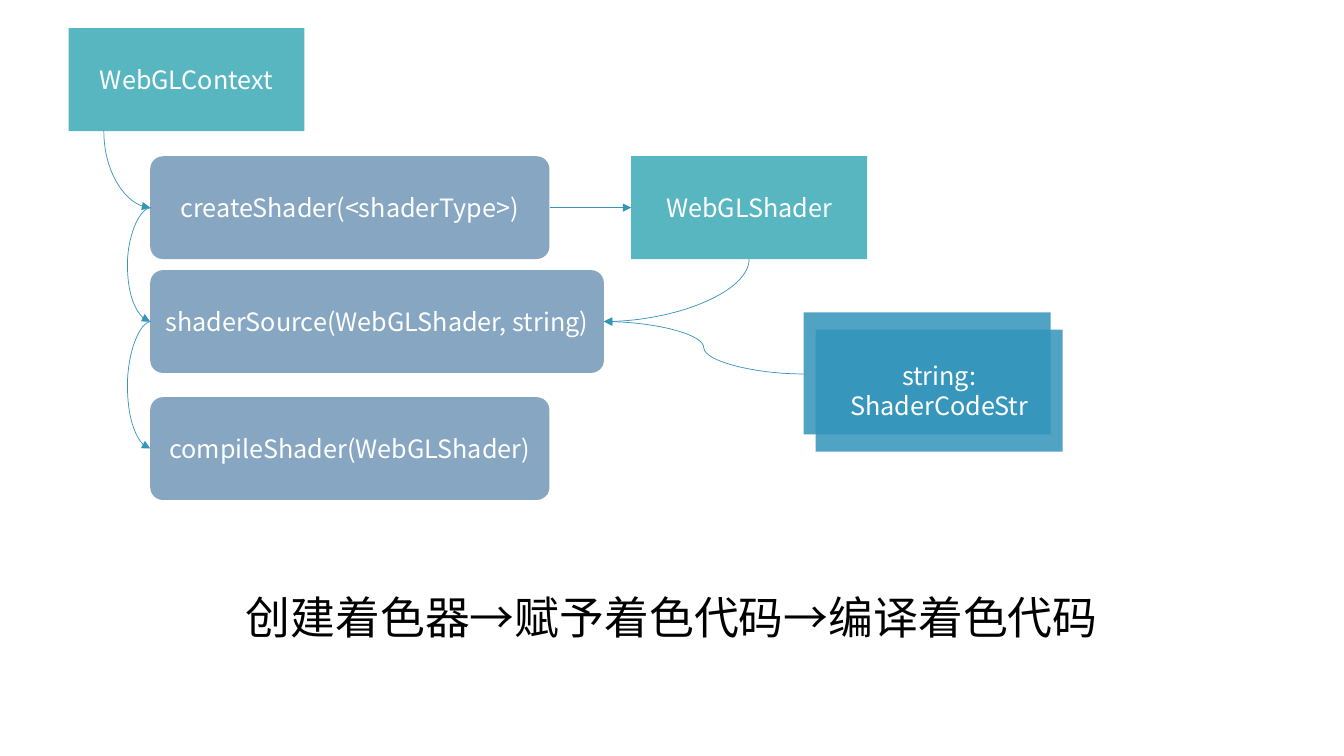
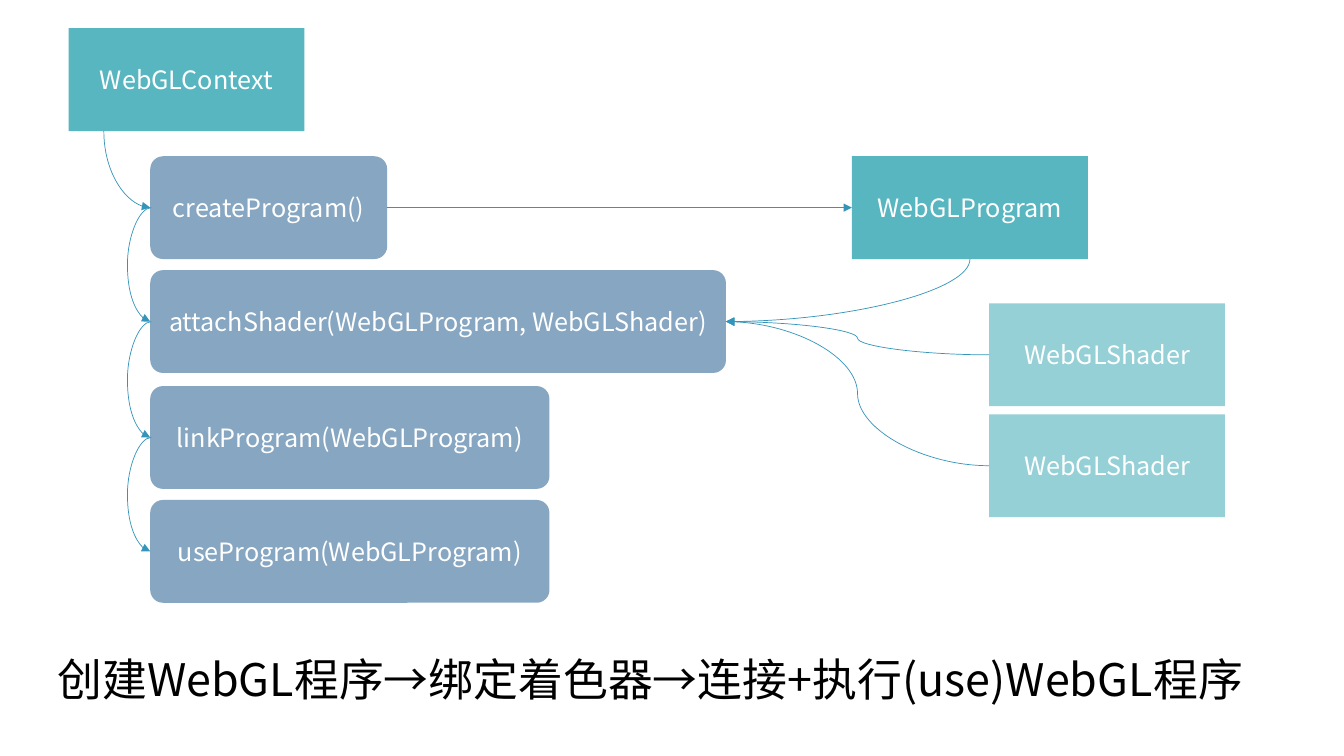
from pptx import Presentation
from pptx.dml.color import RGBColor
from pptx.enum.shapes import MSO_CONNECTOR, MSO_SHAPE
from pptx.enum.text import MSO_ANCHOR, PP_ALIGN
from pptx.oxml.ns import qn
from pptx.util import Inches, Pt
from lxml import etree

RECT, ROUNDED = MSO_SHAPE.RECTANGLE, MSO_SHAPE.ROUNDED_RECTANGLE
STRAIGHT, CURVE = MSO_CONNECTOR.STRAIGHT, MSO_CONNECTOR.CURVE
MIDDLE, CENTER, LEFT = MSO_ANCHOR.MIDDLE, PP_ALIGN.CENTER, PP_ALIGN.LEFT
TEAL = RGBColor(0x58, 0xB6, 0xC0)
SLATE = RGBColor(0x86, 0xA6, 0xC1)
BLUE = RGBColor(0x34, 0x94, 0xBA)
WHITE = RGBColor(0xFF, 0xFF, 0xFF)
BLACK = RGBColor(0, 0, 0)
FONT = "Noto Sans CJK SC"

OBJECT_W, BOX_H = 2.34, 1.02
STEP_X, STEP_W = 1.49, 3.96
CONTEXT_X, CONTEXT_Y = 0.68, 0.28
CODE_W, CODE_H = 2.45, 1.21
LOOP_W, LOOP_REACH = 0.01, 24

SLIDES = [
    {
        "steps": [("createShader(<shaderType>)", 1.55, STEP_W),
                  ("shaderSource(WebGLShader, string)", 2.68, 4.5),
                  ("compileShader(WebGLShader)", 3.94, STEP_W)],
        "result": ("WebGLShader", 6.26),
        "inputs": [("", 7.97, 3.1, CODE_W, CODE_H, BLUE, 86),
                   ("string: ShaderCodeStr", 8.09, 3.27, CODE_W, CODE_H, BLUE, 86)],
        "input_links": [(7.97, 3.71)],
        "caption": ("创建着色器→赋予着色代码→编译着色代码", 2.34, 5.8, 8.73),
    },
    {
        "steps": [("createProgram()", 1.55, 2.35),
                  ("attachShader(WebGLProgram, WebGLShader)", 2.68, 5.71),
                  ("linkProgram(WebGLProgram)", 3.83, STEP_W),
                  ("useProgram(WebGLProgram)", 4.96, STEP_W)],
        "result": ("WebGLProgram", 8.45),
        "inputs": [("WebGLShader", 9.81, 3.01, OBJECT_W, BOX_H, TEAL, 63),
                   ("WebGLShader", 9.81, 4.11, OBJECT_W, BOX_H, TEAL, 63)],
        "input_links": [(9.81, 3.52), (9.81, 4.62)],
        "caption": ("创建WebGL程序→绑定着色器→连接+执行(use)WebGL程序", 0.47, 6.42, 12.41),
    },
]


def write(shape, text, size, color, align):
    shape.text_frame.word_wrap = True
    paragraph = shape.text_frame.paragraphs[0]
    paragraph.alignment = align
    run = paragraph.add_run()
    run.text = text
    run.font.size = Pt(size)
    run.font.color.rgb = color
    run.font.name = FONT
    etree.SubElement(run.font._element, qn("a:ea"), typeface=FONT)


def connect(slide, kind, start, end, rotation=0, flip=None, preset=None, bend=None):
    (x1, y1), (x2, y2) = start, end
    width, height = abs(x2 - x1), abs(y2 - y1)
    if rotation in (90, 270):
        width, height = height, width
    left, top = (x1 + x2 - width) / 2, (y1 + y2 - height) / 2
    arrow = slide.shapes.add_connector(
        kind, Inches(left), Inches(top), Inches(left + width), Inches(top + height))
    arrow.line.color.rgb = BLUE
    arrow.line.width = Pt(0.5)
    etree.SubElement(arrow.line._get_or_add_ln(), qn("a:tailEnd"), type="triangle")
    properties = arrow._element.spPr
    etree.SubElement(properties, qn("a:effectLst"))
    transform = properties.find(qn("a:xfrm"))
    geometry = properties.find(qn("a:prstGeom"))
    if rotation:
        transform.set("rot", str(rotation * 60000))
    if flip:
        transform.set(flip, "1")
    if preset:
        geometry.set("prst", preset)
    if bend:
        etree.SubElement(geometry.find(qn("a:avLst")), qn("a:gd"),
                         name="adj1", fmla=f"val {bend * 100000}")


prs = Presentation()
prs.slide_width, prs.slide_height = Inches(13.33), Inches(7.5)

for content in SLIDES:
    slide = prs.slides.add_slide(prs.slide_layouts[6])
    steps = content["steps"]
    result, result_x = content["result"]
    result_y = steps[0][1]

    boxes = [("WebGLContext", CONTEXT_X, CONTEXT_Y, OBJECT_W, BOX_H, TEAL, 100, RECT),
             (result, result_x, result_y, OBJECT_W, BOX_H, TEAL, 100, RECT)]
    boxes += [(label, STEP_X, y, w, BOX_H, SLATE, 100, ROUNDED) for label, y, w in steps]
    boxes += [(*entry, RECT) for entry in content["inputs"]]
    for label, x, y, w, h, color, opacity, outline in boxes:
        box = slide.shapes.add_shape(outline, Inches(x), Inches(y), Inches(w), Inches(h))
        box.shadow.inherit = False
        box.line.fill.background()
        box.fill.solid()
        box.fill.fore_color.rgb = color
        box.text_frame.vertical_anchor = MIDDLE
        if outline == ROUNDED:
            box.adjustments[0] = 0.124
        if opacity < 100:
            tint = box._element.spPr.find(qn("a:solidFill"))[0]
            etree.SubElement(tint, qn("a:alpha"), val=str(opacity * 1000))
        if label:
            write(box, label, 18, WHITE, CENTER)

    middles = [y + BOX_H / 2 for _, y, _ in steps]
    create_right = STEP_X + steps[0][2]
    receiver = (STEP_X + steps[1][2], middles[1])

    connect(slide, CURVE, (1.03, CONTEXT_Y + BOX_H), (STEP_X, middles[0]),
            270, "flipH", "curvedConnector2")
    connect(slide, STRAIGHT, (create_right, middles[0]), (result_x, middles[0]))
    for upper, lower in zip(middles, middles[1:]):
        connect(slide, CURVE, (STEP_X + LOOP_W, upper), (STEP_X, lower),
                180, "flipV", bend=LOOP_REACH)
    connect(slide, CURVE, (result_x + OBJECT_W / 2, result_y + BOX_H), receiver,
            90, preset="curvedConnector2")
    for source in content["input_links"]:
        connect(slide, CURVE, source, receiver, 180)

    text, x, y, w = content["caption"]
    caption = slide.shapes.add_textbox(Inches(x), Inches(y), Inches(w), Inches(0.64))
    write(caption, text, 32, BLACK, LEFT)

prs.save("out.pptx")
